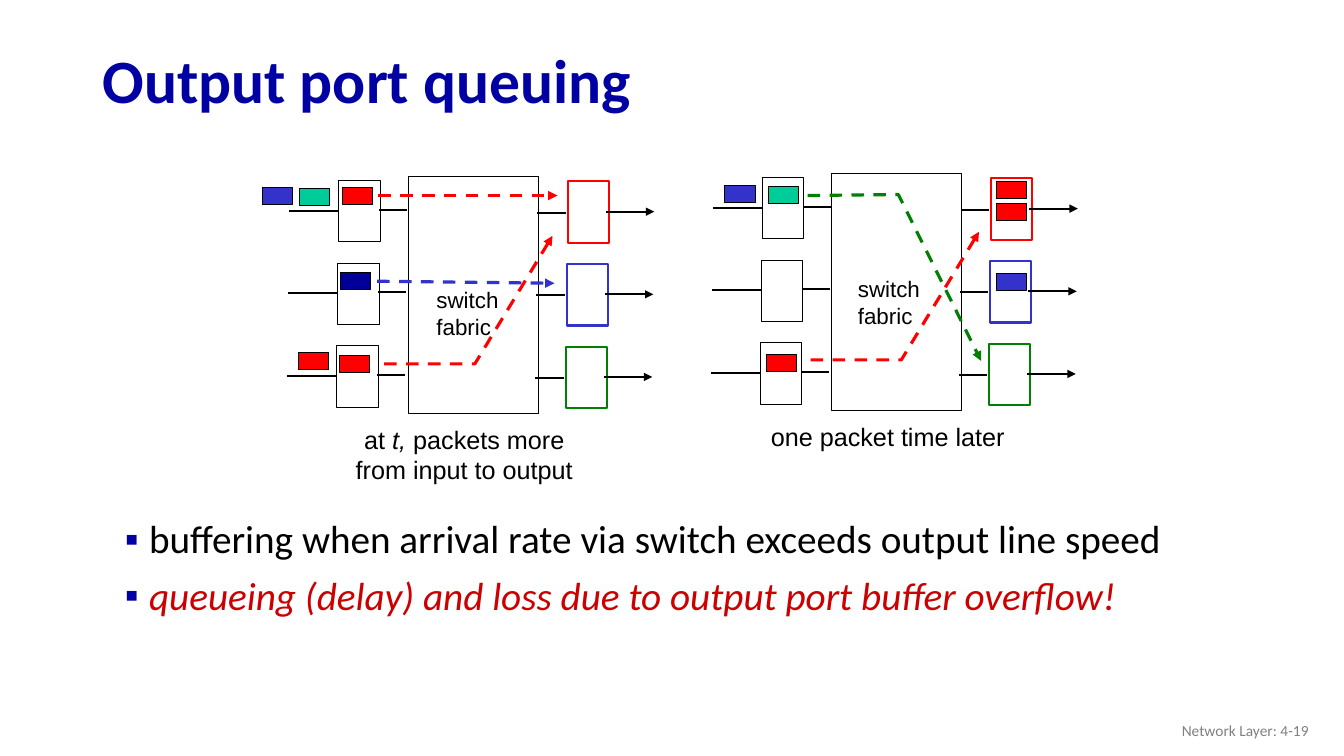
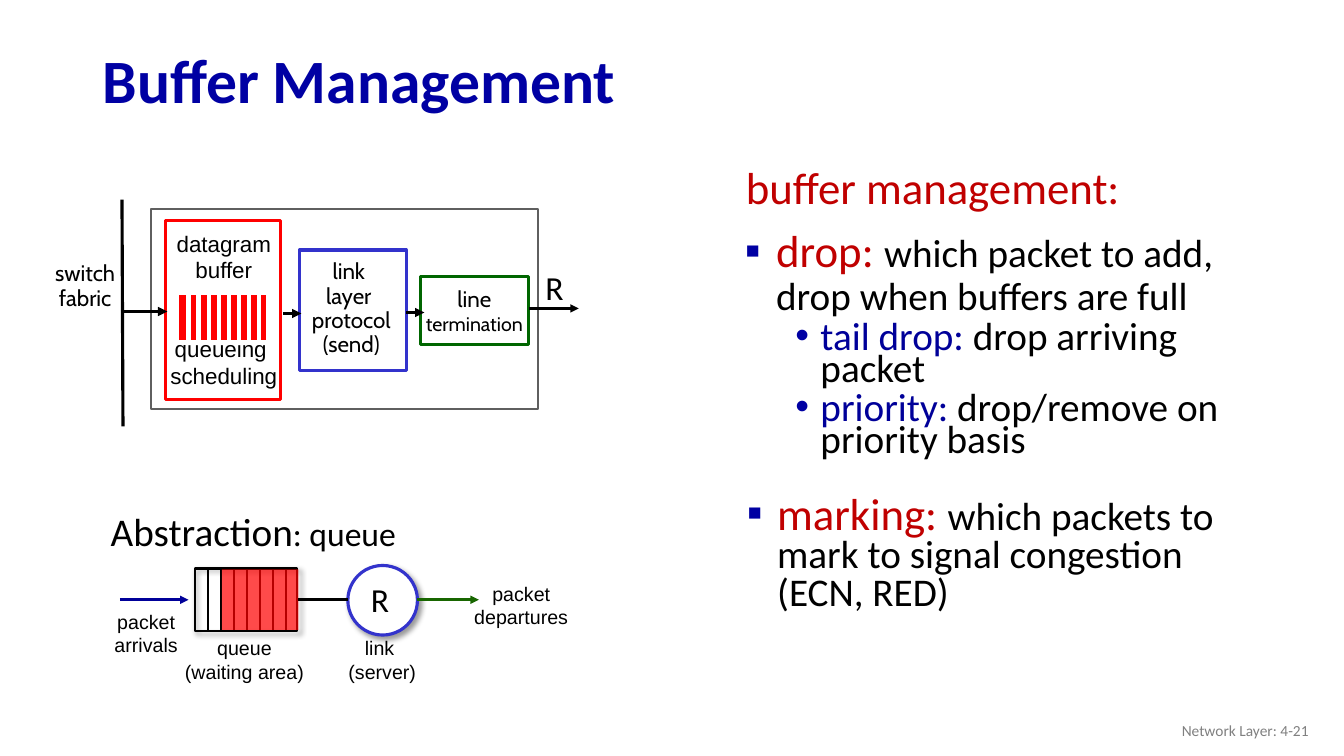
from dataclasses import dataclass
from typing import Any

from lxml.etree import SubElement as Sub
from pptx import Presentation
from pptx.dml.color import RGBColor
from pptx.enum.dml import MSO_LINE as Dash
from pptx.enum.shapes import MSO_CONNECTOR as Link, MSO_SHAPE as Kind
from pptx.enum.text import MSO_ANCHOR as Anchor, PP_ALIGN as Align
from pptx.oxml.ns import qn
from pptx.util import Inches, Pt

# Shared look
WIDE, HIGH = 13.33, 7.5
SANS, HEAD, SOFT = "Arial", "Calibri", "Cabin"
BLACK, WHITE, GREY, FRAME = "000000", "FFFFFF", "808080", "5F5F5F"
NAVY, DEEP, BLUE = "0000A3", "000099", "3333CC"
RED, CRIM, WARN = "FF0000", "C00000", "CC0000"
GREEN, MINT, PINE, LEAF = "008000", "00CC99", "006600", "186600"


def grid(*cells):
    """Columns and rows of the one-inch grid as lengths."""
    return [Inches(cell) for cell in cells]


def tint(item, ink):
    """Paint a fill, a line fill or a font."""
    if hasattr(item, "solid"):
        item.solid()
        item.fore_color.rgb = RGBColor.from_string(ink)
    else:
        item.color.rgb = RGBColor.from_string(ink)


def stroke(item, ink, size, dash=False, tip=False):
    tint(item.line.fill, ink)
    item.line.width = Pt(size)
    if dash:
        item.line.dash_style = Dash.DASH
    if tip:
        Sub(item.line._get_or_add_ln(), qn("a:tailEnd"), type="triangle")


def shade(shape):
    """Soft shadow falling to the lower right."""
    effects = shape.element.spPr.find(qn("a:effectLst"))
    drop = Sub(effects, qn("a:outerShdw"), blurRad=str(Pt(4)),
               dist=str(Pt(3)), dir="2700000", rotWithShape="0")
    ink = Sub(drop, qn("a:srgbClr"), val=BLACK)
    Sub(ink, qn("a:alpha"), val="40000")


def write(frame, rows, size, font=SANS, ink=BLACK, align=Align.LEFT,
          lead=None, wrap=False, anchor=Anchor.TOP):
    """Fill a frame; a row is a string or a list of (text, changes)."""
    frame.word_wrap, frame.vertical_anchor = wrap, anchor
    for n, row in enumerate(rows):
        par = frame.add_paragraph() if n else frame.paragraphs[0]
        par.alignment, par.line_spacing = align, lead
        for words, change in [(row, {})] if isinstance(row, str) else row:
            run = par.add_run()
            run.text = words
            run.font.name = font
            run.font.size = Pt(change.get("size", size))
            run.font.italic = change.get("slant", False)
            tint(run.font, change.get("ink", ink))
    return frame.paragraphs


def bullet(par, left, hang, mark=None, ink=NAVY, before=10, lead=0.9):
    """Hanging indent, with a coloured mark when one is given."""
    par.space_before, par.line_spacing = Pt(before), lead
    props = par._p.get_or_add_pPr()
    props.set("marL", str(Inches(left)))
    props.set("indent", str(Inches(-hang)))
    if mark:
        Sub(Sub(props, qn("a:buClr")), qn("a:srgbClr"), val=ink)
        Sub(props, qn("a:buFont"), typeface=SANS)
        Sub(props, qn("a:buChar"), char=mark)


@dataclass
class Area:
    """A region of a slide; its parts are placed from its corner."""
    slide: Any
    x: float = 0
    y: float = 0

    def box(self, x, y, w, h, fill=WHITE, line=None, size=0.75, kind=Kind.RECTANGLE):
        shape = self.slide.shapes.add_shape(kind, *grid(self.x + x, self.y + y, w, h))
        shape.shadow.inherit = False
        if fill:
            tint(shape.fill, fill)
        else:
            shape.fill.background()
        if line:
            stroke(shape, line, size)
        else:
            shape.line.fill.background()
        return shape

    def text(self, x, y, w, h, rows, size, **style):
        shape = self.slide.shapes.add_textbox(*grid(self.x + x, self.y + y, w, h))
        return write(shape.text_frame, rows, size, **style)

    def line(self, spots, ink=BLACK, size=1.5, dash=False, tip=False):
        """Straight connector for two points, open outline for more."""
        spots = [grid(self.x + x, self.y + y) for x, y in spots]
        if len(spots) == 2:
            item = self.slide.shapes.add_connector(Link.STRAIGHT, *spots[0], *spots[1])
            stroke(item, ink, size, dash, tip)
            Sub(item.element.spPr, qn("a:effectLst"))
        else:
            pen = self.slide.shapes.build_freeform(*spots[0])
            pen.add_line_segments(spots[1:], close=False)
            item = pen.convert_to_shape()
            item.shadow.inherit = False
            item.fill.background()
            stroke(item, ink, size, dash, tip)


def page(deck, title, number):
    """New slide with title and footer."""
    slide = deck.slides.add_slide(deck.slide_layouts[6])
    area = Area(slide)
    head = area.text(0.92, 0.34, 11.5, 0.98, [title], 44, font=HEAD, ink=NAVY,
                     lead=0.9, wrap=True, anchor=Anchor.MIDDLE)
    head[0].runs[0].font.bold = True
    area.text(WIDE - 3.25, HIGH - 0.45, 3, 0.4, [f"Network Layer: 4-{number}"], 11,
              font=HEAD, ink=GREY, align=Align.RIGHT, wrap=True, anchor=Anchor.MIDDLE)
    return slide


def switch(area, packs, flows, label, notes):
    """Three input ports, the fabric and three output ports."""
    area.box(1.19, 0, 1.29, 2.35, line=BLACK)
    for row, ink in enumerate([RED, BLUE, GREEN]):
        x, y = -0.01 * row, 0.82 * row
        area.box(0.5 + x, 0.04 + y, 0.41, 0.61, line=BLACK)
        area.box(2.77 + x, 0.05 + y, 0.41, 0.61, line=ink, size=1.5)
        # Wires: in, into the fabric, out of it, out
        for left, span, drop in [(0.01, 0.49, 0.34), (0.9, 0.28, 0.33),
                                 (2.47, 0.28, 0.36), (3.15, 0.48, 0.35)]:
            spots = [(left + x, drop + y), (left + span + x, drop + y)]
            area.line(spots, tip=left > 3)
    for x, y, ink in packs:
        area.box(x, y, 0.3, 0.17, fill=ink, line=BLACK)
    area.text(*label, 0.82, 0.64, ["switch", "fabric"], 16)
    for ink, *spots in flows:
        area.line(spots, ink, 2.25, dash=True, tip=True)
    area.text(0.4, 2.41, 2.69, 0.7, notes, 18, align=Align.CENTER, wrap=True)


def queuing(deck):
    slide = page(deck, "Output port queuing", 19)
    # At time t
    switch(Area(slide, 2.86, 1.75),
           [(-0.26, 0.11, BLUE), (0.11, 0.12, MINT), (0.54, 0.11, RED),
            (0.52, 0.95, DEEP), (0.1, 1.75, RED), (0.51, 1.78, RED)],
           [(RED, (0.89, 0.19), (2.67, 0.19)),
            (BLUE, (0.88, 1.04), (2.64, 1.06)),
            (RED, (0.95, 1.86), (1.85, 1.86), (2.62, 0.59))],
           (1.37, 1.04),
           [[("at ", {}), ("t,", {"slant": True}), (" packets more", {})],
            "from input to output"])
    # One packet time later
    switch(Area(slide, 7.06, 1.72),
           [(0.13, 0.12, BLUE), (0.56, 0.13, MINT), (0.54, 1.8, RED),
            (2.82, 0.08, RED), (2.82, 0.3, RED), (2.82, 0.99, BLUE)],
           [(RED, (0.98, 1.85), (1.88, 1.85), (2.65, 0.58)),
            (GREEN, (0.95, 0.22), (1.85, 0.21), (2.67, 1.86))],
           (1.35, 0.96), ["one packet time later"])
    # Conclusions
    rows = ["buffering when arrival rate via switch exceeds output line speed",
            [("queueing (delay) and loss due to output port buffer overflow!",
              {"ink": WARN, "slant": True})]]
    for par in Area(slide).text(0.99, 5.11, 11, 1.92, rows, 28, font=HEAD, wrap=True):
        bullet(par, 0.39, 0.24, "▪")


def port(area):
    """Output port: buffer, link protocol and line termination."""
    mid = {"align": Align.CENTER, "anchor": Anchor.MIDDLE}
    area.box(0.3, 0.09, 3.84, 1.99, line=FRAME, size=1.5)
    # Line termination
    end = area.box(2.97, 0.76, 1.07, 0.68, line=PINE, size=2.25)
    write(end.text_frame, ["line", [("termination", {"size": 14})]], 16, font=SOFT, **mid)
    # Link protocol
    area.box(1.77, 0.5, 1.06, 1.2, line=BLUE, size=2.25)
    for x, y, rows in [(1.8, 0.66, ["link ", "layer ", "protocol", "(send)"]),
                       (-0.84, 0.44, ["switch", "fabric"])]:
        tag = area.box(x, y, 0.97, 0.85)
        write(tag.text_frame, rows, 16, font=SOFT, lead=0.9, **mid)
    # Datagram buffer with its packets
    area.box(0.44, 0.21, 1.14, 1.77, line=RED, size=2.25)
    rows = area.text(0.37, 0.25, 1.3, 1.72, ["datagram", "buffer", "queueing ", "scheduling"],
                     16, align=Align.CENTER)
    rows[2].space_before = Pt(36.8)
    area.box(0.55, 0.93, 0.91, 0.48, fill=RED, line=WHITE, size=3)
    for n in range(8):
        x = 0.67 + 0.1 * n
        area.line([(x, 0.94), (x, 1.4)], WHITE, 3)
    # Switch edge and the path through the port
    area.line([(0.01, 0), (0.02, 2.25)], size=2.25)
    for x, y, span, size in [(0, 1.11, 0.46, 2.25), (1.61, 1.13, 0.18, 2.25),
                             (2.83, 1.12, 0.18, 2.25), (4.05, 1.08, 0.49, 2)]:
        area.line([(x, y), (x + span, y)], size=size, tip=True)
    area.text(4.11, 0.62, 0.38, 0.5, ["R"], 24, font=HEAD)


def model(area):
    """Queue abstraction: arrivals, waiting area, server, departures."""
    area.text(0, 0, 3.07, 0.57, [[("Abstraction", {}), (": queue", {"size": 24})]],
              28, font=HEAD)
    # Waiting area
    shade(area.box(0.93, 0.66, 1.02, 0.62, fill=None, line=BLACK, size=1.5))
    for n in range(7):
        x = 1.06 + 0.13 * n
        area.line([(x, 0.66), (x, 1.28)])
    full = area.box(1.2, 0.67, 0.76, 0.6, fill=RED)
    ink = full.element.spPr.find(qn("a:solidFill"))[0]
    Sub(ink, qn("a:alpha"), val="71000")
    # Server
    shade(area.box(2.45, 0.63, 0.69, 0.69, line=BLUE, size=2.25, kind=Kind.OVAL))
    area.text(2.58, 0.71, 0.38, 0.5, ["R"], 24, font=HEAD)
    # Path and labels
    for x, span, ink in [(0.19, 0.68, DEEP), (1.96, 0.49, BLACK), (3.14, 0.61, LEAF)]:
        area.line([(x, 0.97), (x + span, 0.97)], ink, 2, tip=ink != BLACK)
    for x, y, w, rows in [(0.03, 1.02, 0.84, ["packet", "arrivals"]),
                          (0.73, 1.28, 1.39, ["queue", "(waiting area)"]),
                          (2.3, 1.28, 0.93, ["link", " (server)"]),
                          (3.6, 0.74, 1.14, ["packet", "departures"])]:
        area.text(x, y, w, 0.57, rows, 14, align=Align.CENTER)


def policy(area):
    """Drop and marking rules."""
    big, blue = {"size": 32, "ink": CRIM}, {"ink": DEEP}
    rows = [[("buffer management:", big)],
            [("drop: ", big), ("which packet to add, drop when buffers are full", {})],
            [("tail drop: ", blue), ("drop arriving packet", {})],
            [("priority: ", blue), ("drop/remove on priority basis", {})]]
    top, drop, *subs = area.text(0.12, 0, 5.43, 5.48, rows, 28, font=HEAD, wrap=True)
    bullet(top, 0.26, 0.24)
    bullet(drop, 0.32, 0.31, "▪")
    for par in subs:
        bullet(par, 0.76, 0.25, "•", before=5, lead=Pt(22.8))
    rows = [[("marking: ", big),
             ("which packets to mark to signal congestion (ECN, RED)", {})]]
    mark = area.text(0, 3.27, 5.43, 1.33, rows, 28, font=HEAD, wrap=True)
    bullet(mark[0], 0.45, 0.3, "▪", lead=0.8)


def buffers(deck):
    slide = page(deck, "Buffer Management", 21)
    policy(Area(slide, 7.16, 1.6))
    port(Area(slide, 1.2, 1.98))
    model(Area(slide, 1, 4.98))


def main():
    deck = Presentation()
    deck.slide_width, deck.slide_height = grid(WIDE, HIGH)
    queuing(deck)
    buffers(deck)
    deck.save("out.pptx")


if __name__ == "__main__":
    main()
